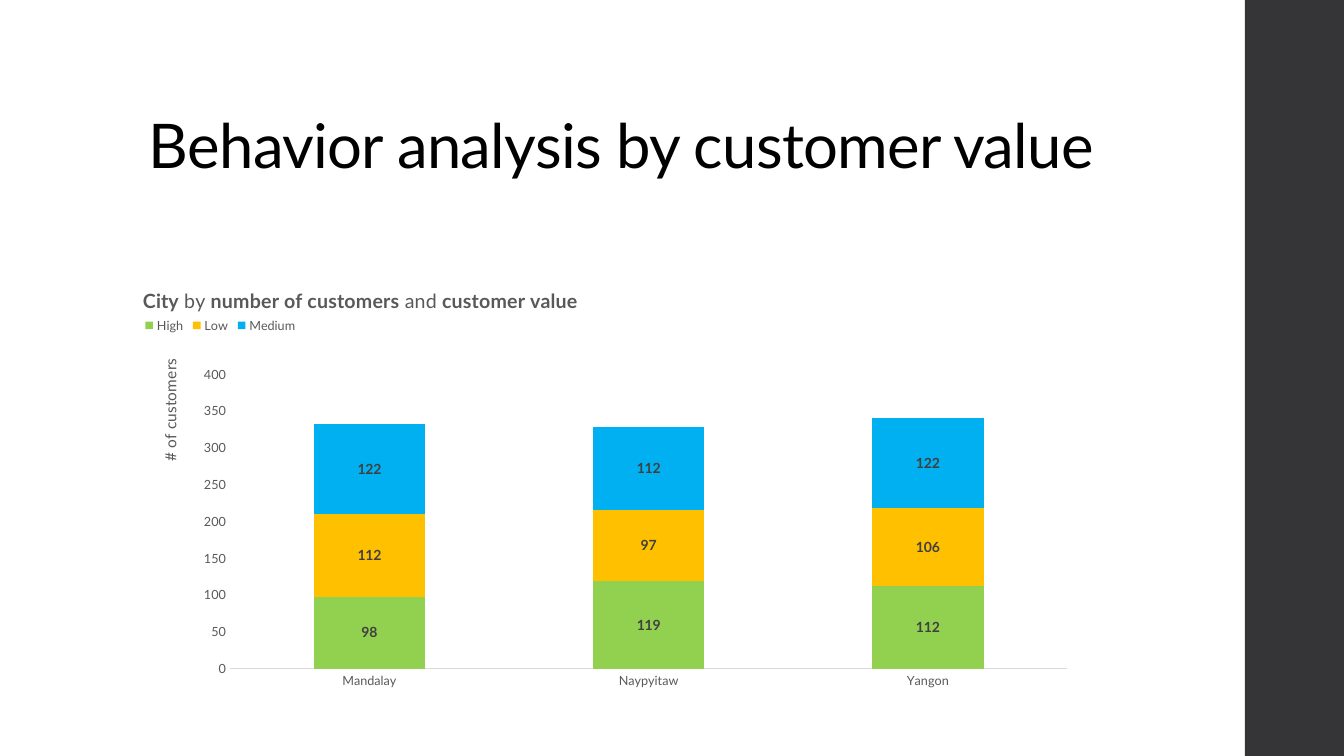
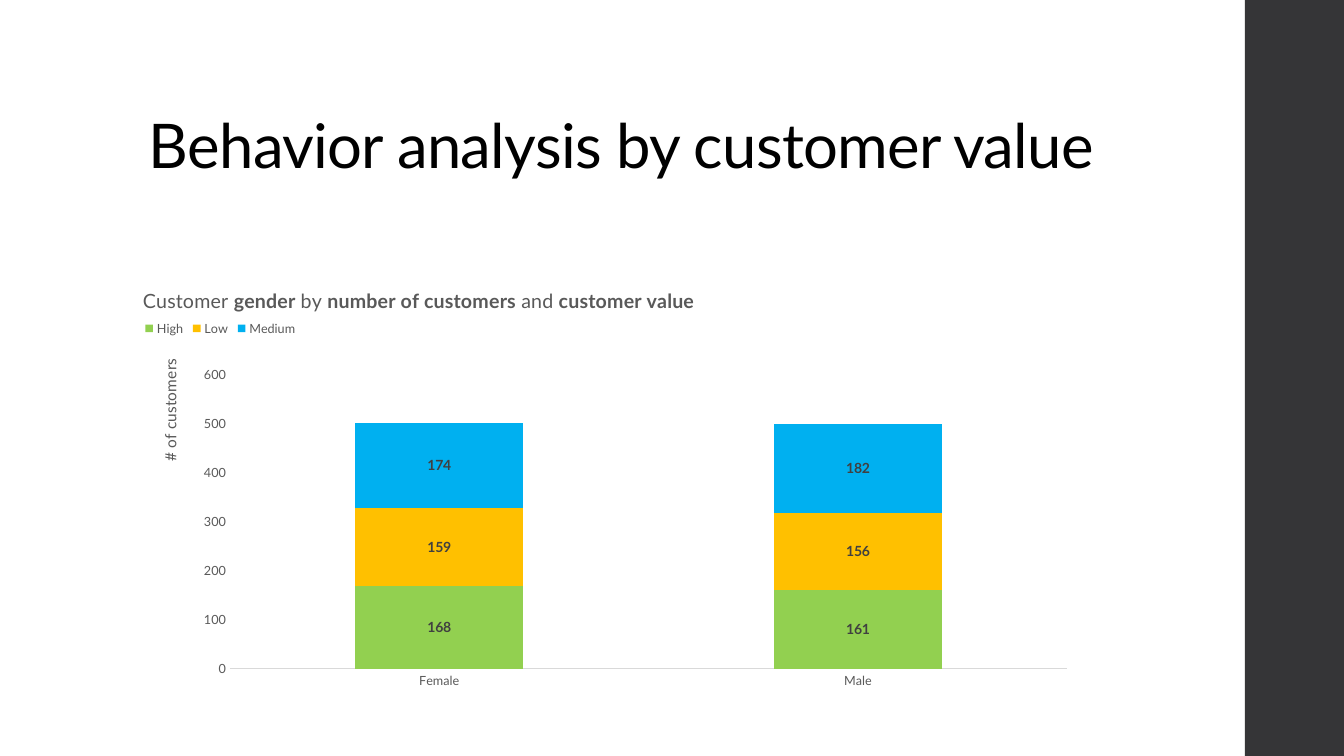
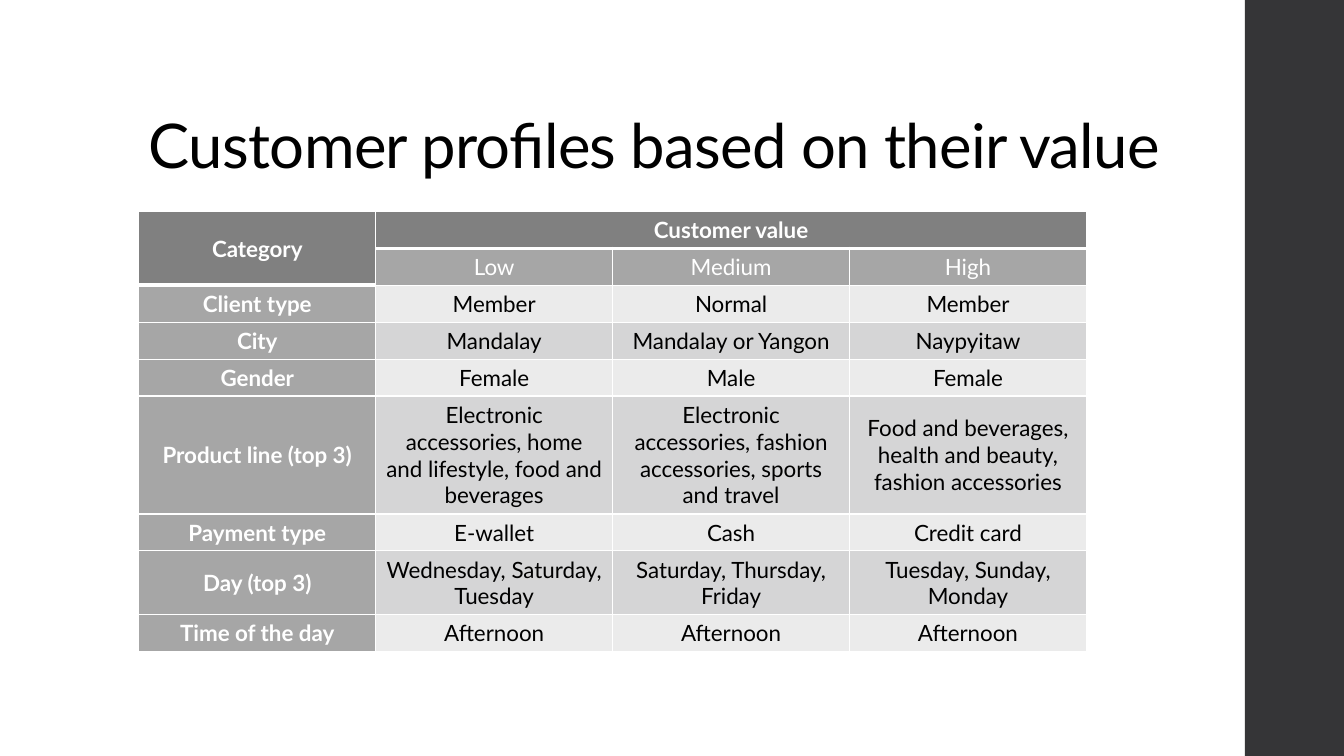
"""Build three slides on customer value: two stacked column charts and a profile table."""
from lxml.etree import SubElement as Sub
from pptx import Presentation
from pptx.chart.data import CategoryChartData as Data
from pptx.dml.color import RGBColor
from pptx.enum.chart import XL_CHART_TYPE as Kind, XL_LABEL_POSITION as Spot
from pptx.enum.chart import XL_LEGEND_POSITION as Side, XL_TICK_MARK as Tick
from pptx.enum.shapes import MSO_SHAPE as Form
from pptx.enum.text import MSO_ANCHOR as Anchor, MSO_AUTO_SIZE as Fit, PP_ALIGN as Align
from pptx.oxml.ns import qn
from pptx.util import Cm, Pt

FACE = "Lato"
WHITE = RGBColor(0xFF, 0xFF, 0xFF)
BLACK = RGBColor(0x00, 0x00, 0x00)
BAND = RGBColor(0x35, 0x35, 0x37)
TEXT = RGBColor(0x59, 0x59, 0x59)
LABEL = RGBColor(0x40, 0x40, 0x40)
RULE = RGBColor(0xD9, 0xD9, 0xD9)
HEAD = RGBColor(0x80, 0x80, 0x80)
SIDE = RGBColor(0xA6, 0xA6, 0xA6)
PALE = RGBColor(0xEB, 0xEB, 0xEB)
DIM = RGBColor(0xD5, 0xD5, 0xD6)
GREEN = RGBColor(0x92, 0xD0, 0x50)
GOLD = RGBColor(0xFF, 0xC0, 0x00)
BLUE = RGBColor(0x00, 0xB0, 0xF0)

LEFT, WIDE = Cm(3.5), Cm(23.88)


def write(para, text, size=16, color=BLACK, bold=False, align=None):
    run = para.add_run()
    run.text = text
    font = run.font
    font.name, font.size, font.bold = FACE, Pt(size), bold
    font.color.rgb = color
    if align is not None:
        para.alignment = align


def place(node, inner=False, **spots):
    for old in node.findall(qn("c:layout")):
        node.remove(old)
    frame = Sub(node, qn("c:layout"))
    later = node.find(qn("c:overlay"))
    if later is None:
        node.insert(0, frame)
    else:
        later.addprevious(frame)
    manual = Sub(frame, qn("c:manualLayout"))
    if inner:
        Sub(manual, qn("c:layoutTarget"), val="inner")
    for mode in ("xMode", "yMode"):
        Sub(manual, qn("c:" + mode), val="edge")
    for key, part in spots.items():
        Sub(manual, qn("c:" + key), val=str(part / 100))


deck = Presentation()
deck.slide_width, deck.slide_height = Cm(33.87), Cm(19.05)
layout = deck.slide_layouts[5]
spot = layout.placeholders[0]
spot.left, spot.top, spot.width, spot.height = LEFT, Cm(1.02), Cm(26.92), Cm(3.68)

slides = []
for text in ["Behavior analysis by customer value"] * 2 + ["Customer profiles based on their value"]:
    slide = deck.slides.add_slide(layout)
    title = slide.shapes.title
    frame = title.text_frame
    frame.auto_size, frame.vertical_anchor, frame.word_wrap = Fit.NONE, Anchor.BOTTOM, True
    para = frame.paragraphs[0]
    para.line_spacing = 0.9
    write(para, text, size=44, align=Align.LEFT)
    for props in title.element.iter(qn("a:rPr")):
        props.set("spc", "-50")
    slides.append(slide)

band = slides[0].shapes.add_shape(Form.RECTANGLE, Cm(31.37), 0, Cm(2.5), deck.slide_height)
band.shadow.inherit = False
band.fill.solid()
band.fill.fore_color.rgb = BAND
band.line.fill.background()
band.element.find(".//" + qn("p:cNvPr")).set("id", "20")
layout.shapes.element.insert(2, band.element)

CHARTS = [
    (["Mandalay", "Naypyitaw", "Yangon"],
     [("City", True), (" by ", False), ("number of customers", True),
      (" and ", False), ("customer value", True)],
     [(98, 119, 112), (112, 97, 106), (122, 112, 122)], 400, 50, 8.8),
    (["Female", "Male"],
     [("Customer ", False), ("gender", True), (" by ", False),
      ("number of customers", True), (" and ", False), ("customer value", True)],
     [(168, 161), (159, 156), (174, 182)], 600, 100, 9.5),
]

for slide, (cats, heading, rows, top, step, drop) in zip(slides, CHARTS):
    data = Data()
    data.categories = cats
    for name, vals in zip(("High", "Low", "Medium"), rows):
        data.add_series(name, vals)
    holder = slide.shapes.add_chart(
        Kind.COLUMN_STACKED, LEFT, Cm(7.01), WIDE, Cm(10.54), data)
    chart = holder.chart
    chart.font.name, chart.font.size = FACE, Pt(10)

    chart.has_title = True
    para = chart.chart_title.text_frame.paragraphs[0]
    for text, bold in heading:
        write(para, text, size=14, color=TEXT, bold=bold)
    place(chart.chart_title.element, x=0.1, y=1.2)

    chart.has_legend = True
    legend = chart.legend
    legend.position, legend.include_in_layout = Side.TOP, False
    root = chart.element
    place(root.find(".//" + qn("c:legend")), x=0.1, y=drop, w=17, h=5)
    place(root.find(".//" + qn("c:plotArea")), inner=True, x=9.6, y=23, w=88.4, h=70.4)

    plot = chart.plots[0]
    plot.gap_width, plot.overlap, plot.vary_by_categories = 150, 100, False
    for series, color in zip(plot.series, (GREEN, GOLD, BLUE)):
        series.format.fill.solid()
        series.format.fill.fore_color.rgb = color
        labels = series.data_labels
        labels.show_value, labels.position = True, Spot.CENTER
        font = labels.font
        font.name, font.size, font.bold = FACE, Pt(10), True
        font.color.rgb = LABEL

    base, scale = chart.category_axis, chart.value_axis
    for axis in (base, scale):
        axis.major_tick_mark = axis.minor_tick_mark = Tick.NONE
        axis.has_major_gridlines = False
    for font in (base.tick_labels.font, scale.tick_labels.font, legend.font):
        font.name, font.size = FACE, Pt(9)
        font.color.rgb = TEXT
    base.format.line.color.rgb = RULE
    base.format.line.width = Pt(0.75)
    scale.format.line.fill.background()
    scale.minimum_scale, scale.maximum_scale, scale.major_unit = 0, top, step
    scale.has_title = True
    name = scale.axis_title
    write(name.text_frame.paragraphs[0], "# of customers", size=11, color=TEXT)
    node = root.find(".//" + qn("c:valAx")).find(qn("c:title"))
    body = node.find(".//" + qn("a:bodyPr"))
    body.set("rot", "-5400000")
    body.set("vert", "horz")
    place(node, x=1.8, y=18.5)

ROWS = [
    ("Category", "Customer value", "", ""),
    ("", "Low", "Medium", "High"),
    ("Client type", "Member", "Normal", "Member"),
    ("City", "Mandalay", "Mandalay or Yangon", "Naypyitaw"),
    ("Gender", "Female", "Male", "Female"),
    ("Product line (top 3)",
     "Electronic accessories, home and lifestyle, food and beverages",
     "Electronic accessories, fashion accessories, sports and travel",
     "Food and beverages, health and beauty, fashion accessories"),
    ("Payment type", "E-wallet", "Cash", "Credit card"),
    ("Day (top 3)", "Wednesday, Saturday, Tuesday", "Saturday, Thursday, Friday",
     "Tuesday, Sunday, Monday"),
    ("Time of the day", "Afternoon", "Afternoon", "Afternoon"),
]
TALL = {5: 2.97, 7: 1.61}

holder = slides[2].shapes.add_table(len(ROWS), 4, LEFT, Cm(5.33), WIDE, Cm(11.09))
grid = holder.table
for col in grid.columns:
    col.width = Cm(5.97)
for i, row in enumerate(ROWS):
    grid.rows[i].height = Cm(TALL.get(i, 0.93))
    for j, text in enumerate(row):
        cell = grid.cell(i, j)
        top = i == 0 or (i, j) == (1, 0)
        dark = i < 2 or j == 0
        cell.fill.solid()
        cell.fill.fore_color.rgb = HEAD if top else SIDE if dark else DIM if i % 2 else PALE
        cell.vertical_anchor = Anchor.MIDDLE
        if text:
            write(cell.text_frame.paragraphs[0], text, color=WHITE if dark else BLACK,
                  bold=i == 0 or j == 0, align=Align.CENTER)

for n, props in enumerate(holder.element.iter(qn("a:tcPr"))):
    thick = 3 if n < 5 else 1
    for at, (tag, width) in enumerate((("lnL", 1), ("lnR", 1), ("lnB", thick))):
        line = Sub(props, qn("a:" + tag), w=str(Pt(width)))
        Sub(Sub(line, qn("a:solidFill")), qn("a:srgbClr"), val=str(WHITE))
        props.insert(at, line)
grid.cell(0, 0).merge(grid.cell(1, 0))
grid.cell(0, 1).merge(grid.cell(0, 3))

deck.save("out.pptx")
